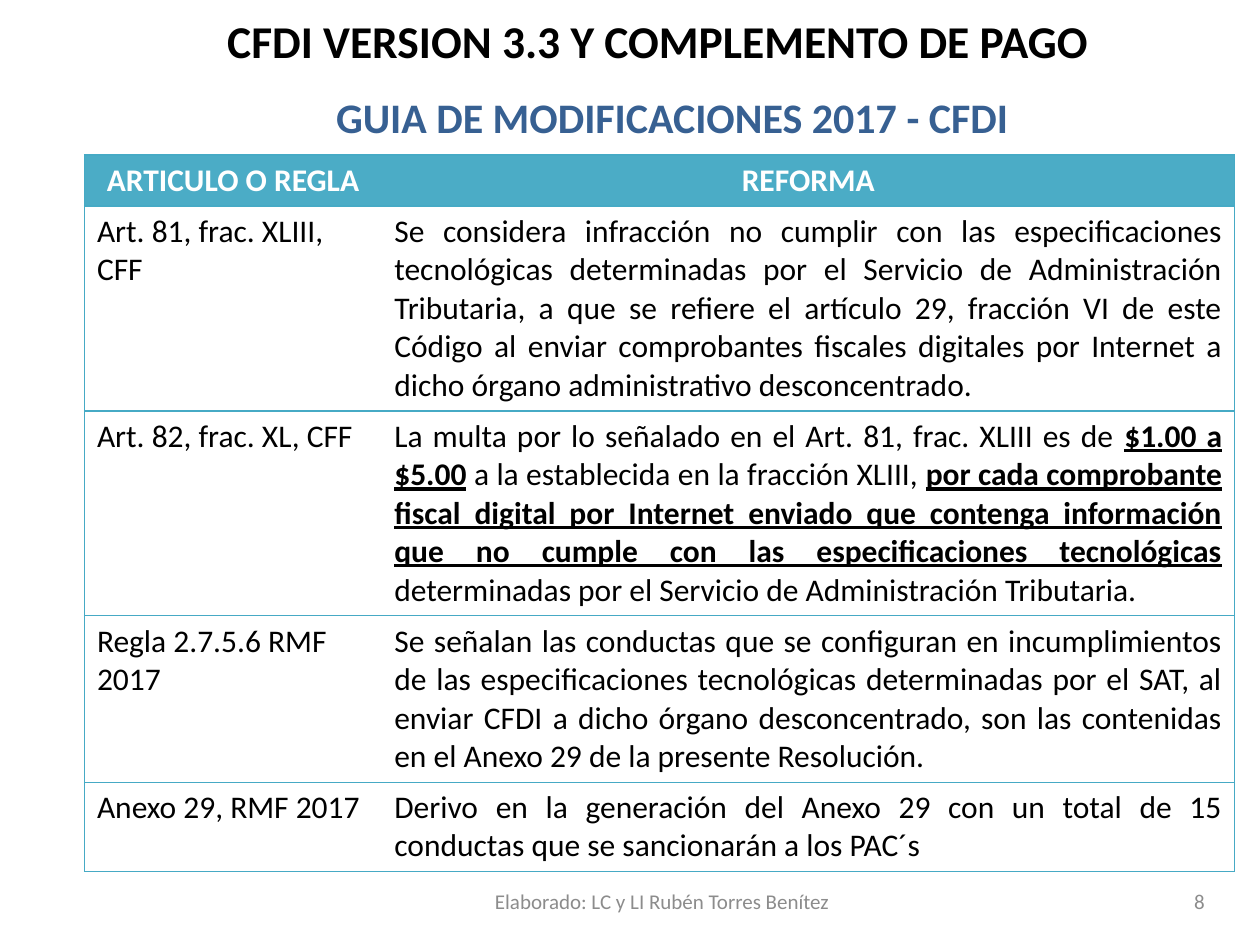
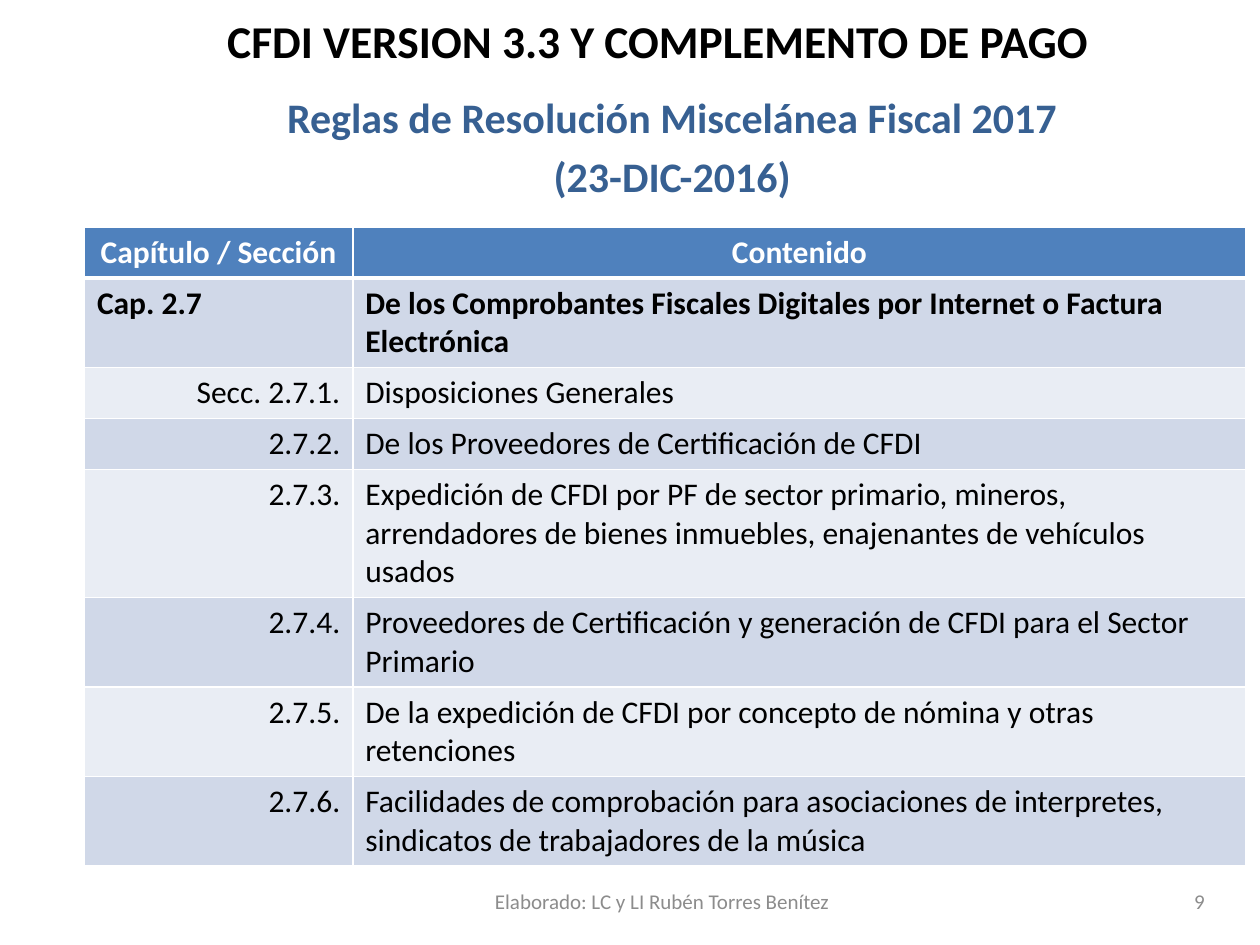
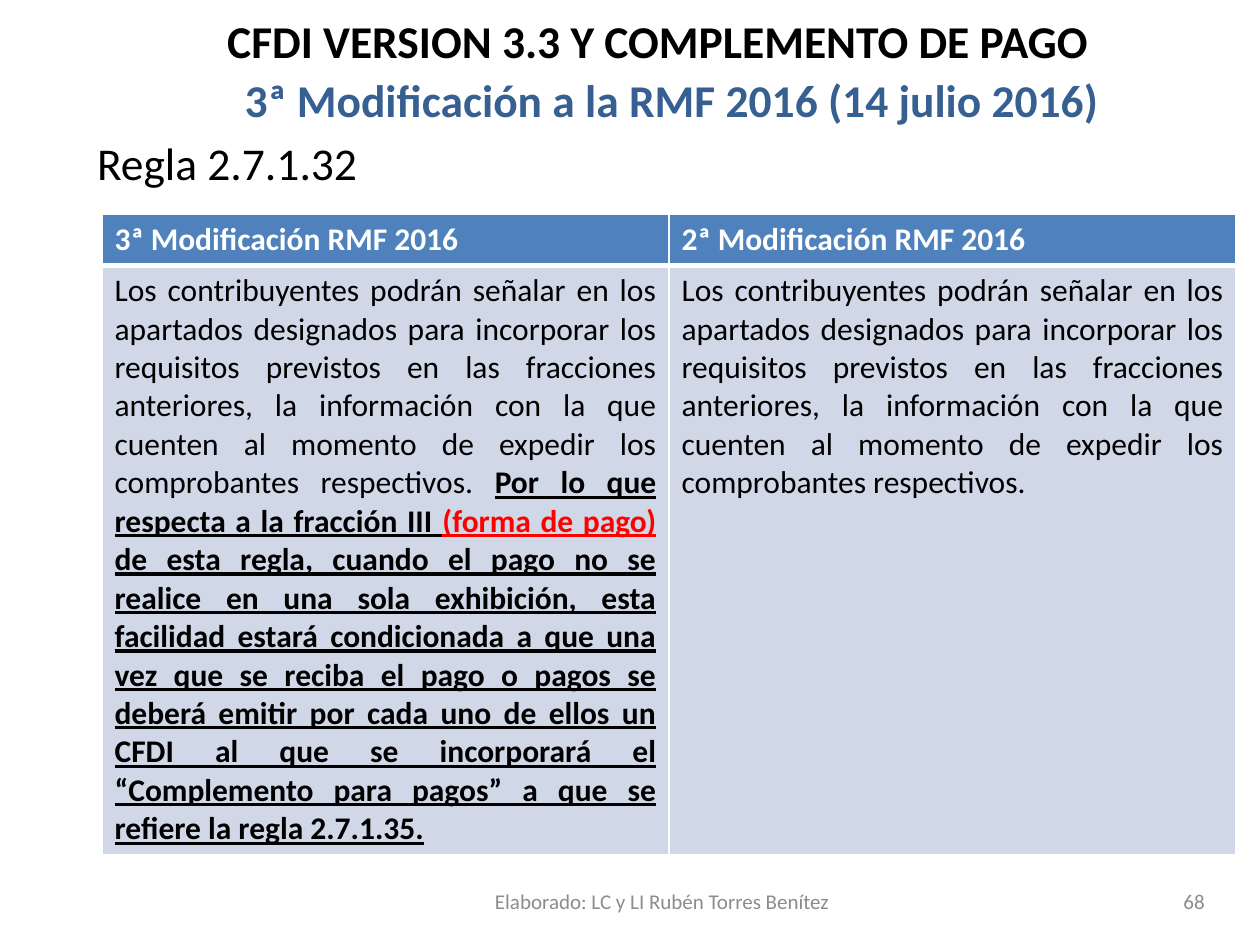
from pptx import Presentation
from pptx.dml.color import RGBColor
from pptx.enum.text import MSO_ANCHOR, MSO_AUTO_SIZE, PP_ALIGN
from pptx.oxml.ns import qn
from pptx.util import Inches, Pt
from lxml import etree

LEFT, CENTER, RIGHT, JUSTIFY = PP_ALIGN.LEFT, PP_ALIGN.CENTER, PP_ALIGN.RIGHT, PP_ALIGN.JUSTIFY
TOP, MIDDLE = MSO_ANCHOR.TOP, MSO_ANCHOR.MIDDLE
NO_FIT = MSO_AUTO_SIZE.NONE

FONT = "Calibri"
BLACK, WHITE, RED, GRAY, NAVY = "000000", "FFFFFF", "FF0000", "8C8C8C", "376092"
BLUE, BAND_DARK, BAND_LIGHT = "4F81BD", "D0D8E8", "E9EDF4"
TEAL, TEAL_LINE = "4BACC6", "46AAC5"

TITLE = "CFDI VERSION 3.3 Y COMPLEMENTO DE PAGO"
FOOTER = "Elaborado: LC y LI Rubén Torres Benítez"

PLAIN = {"size": 18, "color": BLACK, "bold": False}
BOLD = {**PLAIN, "bold": True}
KEY = {**BOLD, "underline": True}
KEY_RED = {**KEY, "color": RED}
HEAD = {**BOLD, "color": WHITE}
SUBTITLE = {"size": 24, "color": NAVY, "bold": True}
LARGE_SUBTITLE = {**SUBTITLE, "size": 26}
SMALL = {"size": 12, "color": GRAY, "bold": False}

GRID = {"head": BLUE, "bands": (BAND_DARK, BAND_LIGHT), "line": WHITE,
        "width": 1, "head_width": 3, "inner": True}
OUTLINE = {"head": TEAL, "bands": (None,), "line": TEAL_LINE,
           "width": 0.75, "head_width": 0.75, "inner": False}


def rgb(color):
    return RGBColor.from_string(color)


class Deck:
    def __init__(self):
        self.prs = Presentation()
        self.prs.slide_width, self.prs.slide_height = Inches(10), Inches(7.5)
        self.s = None

    def place(self, sp, box):
        for name, value in zip(("left", "top", "width", "height"), box):
            setattr(sp, name, Inches(value))

    def frame(self, tf, anchor):
        for name, value in {"word_wrap": True, "auto_size": NO_FIT, "vertical_anchor": anchor}.items():
            setattr(tf, name, value)

    def add_text(self, p, content, style, align):
        p.alignment = align
        for text, fmt in [(content, style)] if isinstance(content, str) else content:
            r = p.add_run()
            r.text = text
            values = {**fmt, "name": FONT, "size": Pt(fmt["size"])}
            r.font.color.rgb = rgb(values.pop("color"))
            for name, value in values.items():
                setattr(r.font, name, value)

    def slide(self, number, body, body_top=0.68):
        self.s = self.prs.slides.add_slide(self.prs.slide_layouts[1])
        title, sp = self.s.placeholders
        self.place(title, (0.81, 0.05, 8.83, 0.62))
        self.frame(title.text_frame, TOP)
        self.add_text(title.text_frame.paragraphs[0], TITLE, {**BOLD, "size": 26}, CENTER)
        self.place(sp, (0.67, body_top, 9.33, 6.46))
        self.body(sp.text_frame, body)
        self.label(FOOTER, (3.67, 6.95, 3.17, 0.4), CENTER)
        self.label(str(number), (7.33, 6.95, 2.33, 0.4), RIGHT)

    def body(self, tf, lines):
        self.frame(tf, TOP)
        for i, (text, style, align) in enumerate(lines):
            p = tf.add_paragraph() if i else tf.paragraphs[0]
            self.add_text(p, text, style, align)
            pPr = p._p.get_or_add_pPr()
            for name in ("marL", "indent"):
                pPr.set(name, "0")
            etree.SubElement(pPr, qn("a:buNone"))

    def label(self, text, box, align):
        tf = self.s.shapes.add_textbox(*map(Inches, box)).text_frame
        self.frame(tf, MIDDLE)
        self.add_text(tf.paragraphs[0], text, SMALL, align)

    def borders(self, cell, widths, color):
        tcPr = cell._tc.get_or_add_tcPr()
        for i, (side, width) in enumerate(zip("LRTB", widths)):
            ln = etree.Element(qn(f"a:ln{side}"), w=str(Pt(width)))
            if width:
                fill = etree.SubElement(ln, qn("a:solidFill"))
                etree.SubElement(fill, qn("a:srgbClr"), val=color)
            else:
                etree.SubElement(ln, qn("a:noFill"))
            tcPr.insert(i, ln)

    def table(self, left, top, cols, line_counts, rows, look, aligns, head_align=CENTER):
        heights = [0.1 + 0.3 * n for n in line_counts]
        box = (left, top, sum(cols), sum(heights))
        table = self.s.shapes.add_table(len(rows), len(cols), *map(Inches, box)).table
        table.horz_banding = False
        for col, width in zip(table.columns, cols):
            col.width = Inches(width)
        for row, height in zip(table.rows, heights):
            row.height = Inches(height)
        last = len(cols) - 1
        width, inner = look["width"], look["inner"]
        for i, row in enumerate(rows):
            color = look["bands"][(i - 1) % len(look["bands"])] if i else look["head"]
            for j, content in enumerate(row):
                cell = table.cell(i, j)
                if color:
                    cell.fill.solid()
                    cell.fill.fore_color.rgb = rgb(color)
                else:
                    cell.fill.background()
                self.borders(cell, (width if inner or j == 0 else 0,
                                    width if inner or j == last else 0,
                                    look["head_width"] if i == 1 else width,
                                    look["head_width"] if i == 0 else width), look["line"])
                style, align = (PLAIN, aligns[j]) if i else (HEAD, head_align)
                self.add_text(cell.text_frame.paragraphs[0], content, style, align)
        return table


def reforms(deck):
    deck.slide(8, [("GUIA DE MODIFICACIONES 2017 - CFDI", SUBTITLE, CENTER)])
    rows = [
        ("ARTICULO O REGLA", "REFORMA"),
        ("Art. 81, frac. XLIII, CFF",
         "Se considera infracción no cumplir con las especificaciones tecnológicas determinadas por el "
         "Servicio de Administración Tributaria, a que se refiere el artículo 29, fracción VI de este "
         "Código al enviar comprobantes fiscales digitales por Internet a dicho órgano administrativo "
         "desconcentrado."),
        ("Art. 82, frac. XL, CFF", [
            ("La multa por lo señalado en el Art. 81, frac. XLIII es de ", PLAIN),
            ("$1.00 a $5.00", KEY),
            (" a la establecida en la fracción XLIII, ", PLAIN),
            ("por cada comprobante fiscal digital por Internet enviado que contenga información que no "
             "cumple con las especificaciones tecnológicas", KEY),
            (" determinadas por el Servicio de Administración Tributaria.", PLAIN)]),
        ("Regla 2.7.5.6 RMF 2017",
         "Se señalan las conductas que se configuran en incumplimientos de las especificaciones "
         "tecnológicas determinadas por el SAT, al enviar CFDI a dicho órgano desconcentrado, son las "
         "contenidas en el Anexo 29 de la presente Resolución."),
        ("Anexo 29, RMF 2017",
         "Derivo en la generación del Anexo 29 con un total de 15 conductas que se sancionarán a los "
         "PAC´s"),
    ]
    deck.table(0.67, 1.23, (2.36, 6.77), (1, 5, 5, 4, 2), rows, OUTLINE, (LEFT, JUSTIFY))


def chapters(deck):
    deck.slide(9, [("Reglas de Resolución Miscelánea Fiscal 2017", SUBTITLE, CENTER),
                   ("(23-DIC-2016)", SUBTITLE, CENTER)])
    rows = [
        ("Capítulo / Sección", "Contenido"),
        ([("Cap. 2.7", BOLD)],
         [("De los Comprobantes Fiscales Digitales por Internet o Factura Electrónica", BOLD)]),
        ("Secc. 2.7.1.", "Disposiciones Generales"),
        ("2.7.2.", "De los Proveedores de Certificación de CFDI"),
        ("2.7.3.", "Expedición de CFDI por PF de sector primario, mineros, arrendadores de bienes "
                   "inmuebles, enajenantes de vehículos usados"),
        ("2.7.4.", "Proveedores de Certificación y generación de CFDI para el Sector Primario"),
        ("2.7.5.", "De la expedición de CFDI por concepto de nómina y otras retenciones"),
        ("2.7.6.", "Facilidades de comprobación para asociaciones de interpretes, sindicatos de "
                   "trabajadores de la música"),
    ]
    table = deck.table(0.67, 1.8, (2.13, 7.09), (1, 2, 1, 1, 3, 2, 2, 2), rows, GRID, (RIGHT, LEFT))
    table.cell(1, 0).text_frame.paragraphs[0].alignment = LEFT


def comparison(deck):
    deck.slide(68, [("3ª Modificación a la RMF 2016 (14 julio 2016)", LARGE_SUBTITLE, CENTER),
                    ("Regla 2.7.1.32", {**PLAIN, "size": 26}, JUSTIFY)], 0.52)
    shared = ("Los contribuyentes podrán señalar en los apartados designados para incorporar los "
              "requisitos previstos en las fracciones anteriores, la información con la que cuenten al "
              "momento de expedir los comprobantes respectivos.")
    rows = [
        ("3ª Modificación RMF 2016", "2ª Modificación RMF 2016"),
        ([(shared + " ", PLAIN),
          ("Por lo que respecta a la fracción III ", KEY),
          ("(forma de pago)", KEY_RED),
          (" de esta regla, cuando el pago no se realice en una sola exhibición, esta facilidad estará "
           "condicionada a que una vez que se reciba el pago o pagos se deberá emitir por cada uno de "
           "ellos un CFDI al que se incorporará el “Complemento para pagos” a que se refiere la regla "
           "2.7.1.35.", KEY)],
         shared),
    ]
    deck.table(0.81, 1.7, (4.5, 4.5), (1, 15), rows, GRID, (JUSTIFY, JUSTIFY), LEFT)


def main():
    deck = Deck()
    for build in (reforms, chapters, comparison):
        build(deck)
    deck.prs.save("out.pptx")


if __name__ == "__main__":
    main()
